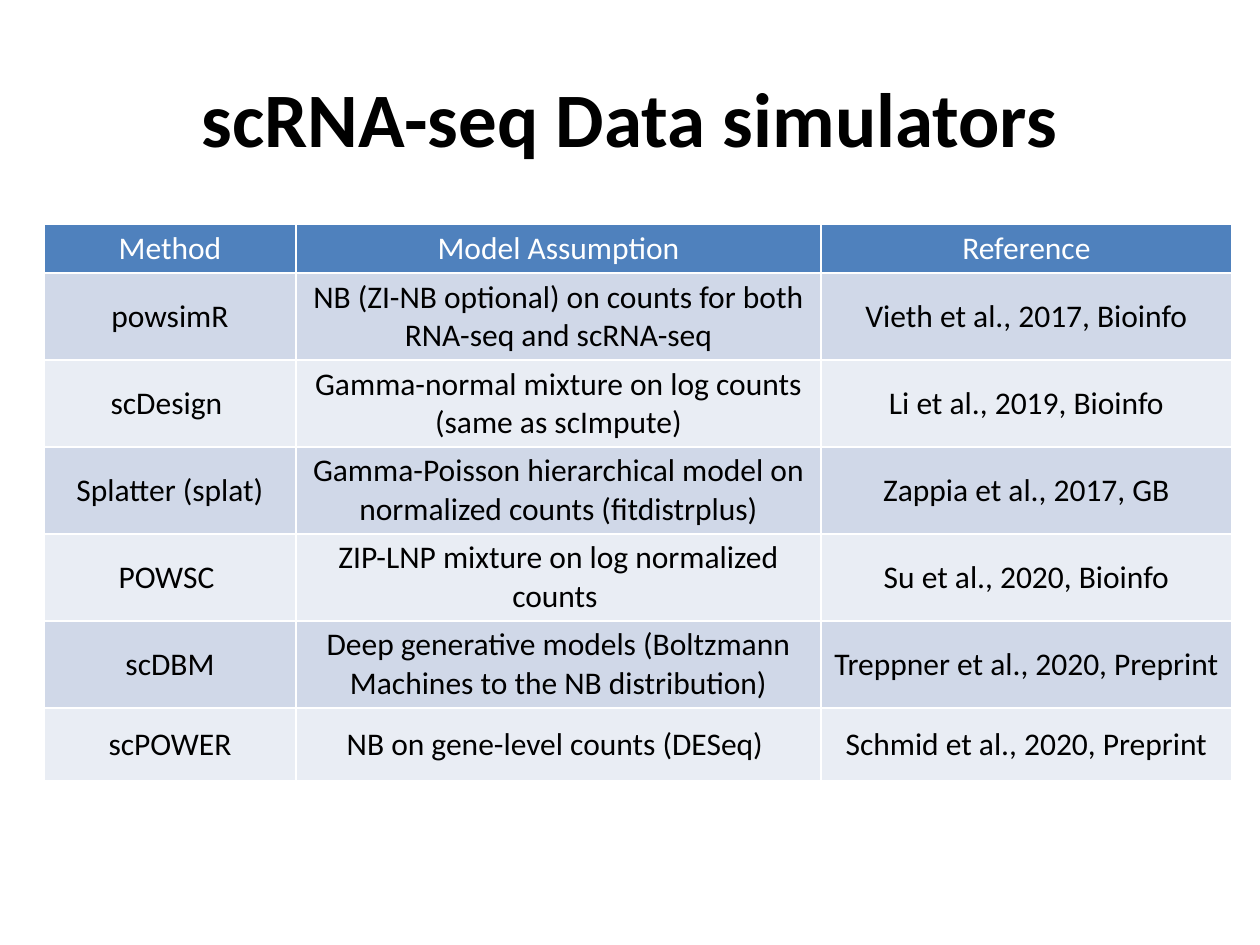
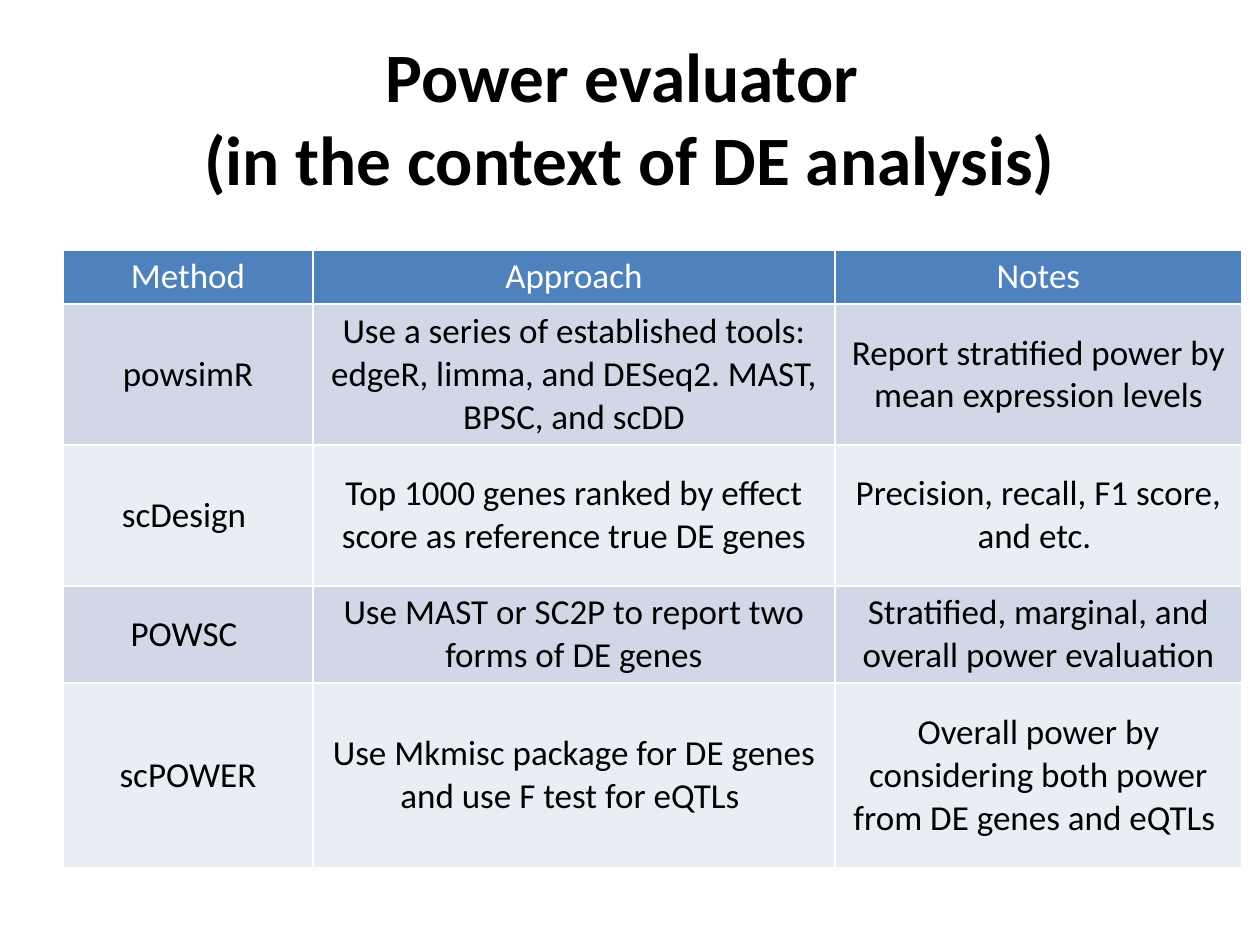
from dataclasses import dataclass

from lxml.etree import SubElement
from pptx import Presentation
from pptx.dml.color import RGBColor as RGB
from pptx.enum.text import MSO_ANCHOR as ANCHOR, PP_ALIGN as ALIGN
from pptx.oxml.ns import qn
from pptx.util import Emu, Inches, Pt

# Content: row heights and column widths in px, header row first
SLIDES = [
    dict(
        title="scRNA-seq Data simulators", title_size=44, text_size=18,
        left=44, top=224, cols=[252, 525, 411],
        heights=[49, 87, 87, 87, 87, 87, 73],
        rows=[
            ("Method", "Model Assumption", "Reference"),
            ("powsimR", "NB (ZI-NB optional) on counts for both RNA-seq and scRNA-seq",
             "Vieth et al., 2017, Bioinfo"),
            ("scDesign ", "Gamma-normal mixture on log counts (same as scImpute)",
             "Li et al., 2019, Bioinfo"),
            ("Splatter (splat)",
             "Gamma-Poisson hierarchical model on normalized counts (fitdistrplus)",
             "Zappia et al., 2017, GB"),
            ("POWSC ", "ZIP-LNP mixture on log normalized counts ",
             "Su et al., 2020, Bioinfo"),
            ("scDBM", "Deep generative models (Boltzmann Machines to the NB distribution)",
             "Treppner et al., 2020, Preprint"),
            ("scPOWER", "NB on gene-level counts (DESeq) ",
             "Schmid et al., 2020, Preprint"),
        ],
    ),
    dict(
        title="Power evaluator \n(in the context of DE analysis)",
        title_size=39.6, text_size=20,
        left=63, top=250, cols=[250, 522, 407],
        heights=[54, 141, 141, 97, 185],
        rows=[
            ("Method", "Approach", "Notes"),
            ("powsimR",
             "Use a series of established tools: edgeR, limma, and DESeq2. MAST, BPSC, and scDD",
             "Report stratified power by mean expression levels"),
            ("scDesign ", "Top 1000 genes ranked by effect score as reference true DE genes",
             "Precision, recall, F1 score, and etc. "),
            ("POWSC ", "Use MAST or SC2P to report two forms of DE genes",
             "Stratified, marginal, and overall power evaluation"),
            ("scPOWER", "Use Mkmisc package for DE genes and use F test for eQTLs ",
             "Overall power by considering both power from DE genes and eQTLs "),
        ],
    ),
]


@dataclass(frozen=True)
class Theme:
    font: str = "Calibri"
    ink: str = "000000"
    paper: str = "FFFFFF"
    header: str = "4F81BD"
    bands: tuple = ("D0D8E8", "E9EDF4")
    rule: float = 1
    title_box: tuple = (63, 38, 1134, 157)
    cell_margins: tuple = (9, 5)


THEME = Theme()


def px(n):
    return Emu(round(n * Inches(1) / 126))


def put_text(tf, text, *, size, color=THEME.ink, bold=False):
    tf.word_wrap = True
    p = tf.paragraphs[0]
    p.alignment = ALIGN.CENTER
    for i, line in enumerate(text.split("\n")):
        if i:
            p.add_line_break()
        r = p.add_run()
        r.text = line
        font = r.font
        font.name, font.size, font.bold = THEME.font, Pt(size), bold
        font.color.rgb = RGB.from_string(color)


def add_borders(cell):
    tc_pr = cell._tc.get_or_add_tcPr()
    for side in "LRTB":
        ln = SubElement(tc_pr, qn(f"a:ln{side}"), w=str(Pt(THEME.rule)))
        fill = SubElement(ln, qn("a:solidFill"))
        SubElement(fill, qn("a:srgbClr"), val=THEME.paper)


def add_title(s, text, size):
    tf = s.shapes.add_textbox(*map(px, THEME.title_box)).text_frame
    tf.vertical_anchor = ANCHOR.MIDDLE
    put_text(tf, text, size=size, bold=True)


def add_method_table(s, data):
    rows, cols, heights = data["rows"], data["cols"], data["heights"]
    box = data["left"], data["top"], sum(cols), sum(heights)
    table = s.shapes.add_table(len(rows), len(cols), *map(px, box)).table
    for column, width in zip(table.columns, cols):
        column.width = px(width)
    for row, height in zip(table.rows, heights):
        row.height = px(height)

    # Header row, then alternating bands
    margin_x, margin_y = map(px, THEME.cell_margins)
    for i, row in enumerate(rows):
        fill = THEME.bands[(i - 1) % 2] if i else THEME.header
        color = THEME.ink if i else THEME.paper
        for j, text in enumerate(row):
            cell = table.cell(i, j)
            cell.vertical_anchor = ANCHOR.MIDDLE
            cell.margin_left = cell.margin_right = margin_x
            cell.margin_top = cell.margin_bottom = margin_y
            add_borders(cell)
            cell.fill.solid()
            cell.fill.fore_color.rgb = RGB.from_string(fill)
            put_text(cell.text_frame, text, size=data["text_size"], color=color)


def main():
    prs = Presentation()
    prs.slide_width, prs.slide_height = Inches(10), Inches(7.5)
    for data in SLIDES:
        s = prs.slides.add_slide(prs.slide_layouts[6])
        add_title(s, data["title"], data["title_size"])
        add_method_table(s, data)
    prs.save("out.pptx")


if __name__ == "__main__":
    main()
